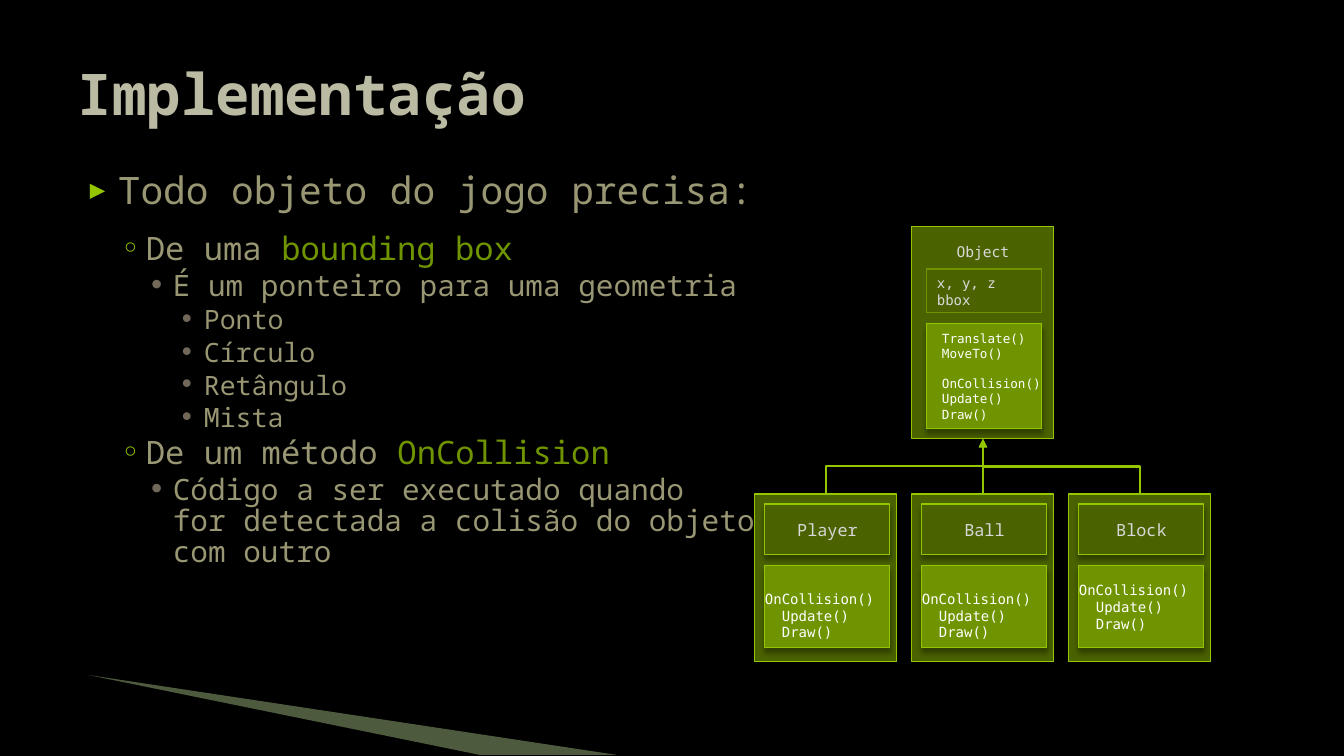
import lxml.etree
import pptx
import pptx.dml.color
import pptx.enum.shapes
import pptx.enum.text
import pptx.oxml.ns
import pptx.util

COLOURS = {
    "background": "000000",
    "title": "BBBAA2",
    "body": "999773",
    "bright": "94C600",
    "green": "6F9400",
    "dark": "4A6300",
    "bullet": "71685A",
    "label": "D9D9D9",
    "white": "FFFFFF",
    "wedge": "C3E19D",
}
SANS = "Noto Sans Mono"
CODE = "DejaVu Sans Mono"
LEVELS = [
    {"left": 40, "hang": 28, "before": 0, "after": 12, "size": 27,
     "bullet": "▶", "colour": "bright", "percent": 68},
    {"left": 68, "hang": 25, "before": 3.2, "after": 0, "size": 23,
     "bullet": "◦", "colour": "bright", "percent": 100},
    {"left": 95, "hang": 25, "before": 3.5, "after": 0, "size": 21,
     "bullet": "•", "colour": "bullet", "percent": 100},
    {"left": 126, "hang": 25, "before": 3.5, "after": 0, "size": 19,
     "bullet": "•", "colour": "bullet", "percent": 100},
]
OUTLINE = [
    (0, "Todo objeto do jogo precisa:", ""),
    (1, "De uma ", "bounding box"),
    (2, "É um ponteiro para uma geometria", ""),
    (3, "Ponto", ""),
    (3, "Círculo", ""),
    (3, "Retângulo", ""),
    (3, "Mista", ""),
    (1, "De um método ", "OnCollision"),
    (2, "Código a ser executado quando\vfor detectada a colisão do objeto\vcom outro", ""),
]


def px(length):
    return pptx.util.Emu(round(length * 914400 / 100.8))


def colour(name):
    return pptx.dml.color.RGBColor.from_string(COLOURS[name])


def add_element(parent, tag, **attributes):
    return lxml.etree.SubElement(parent, pptx.oxml.ns.qn(tag), **attributes)


class ClassDiagramSlide:
    def __init__(self, presentation):
        self.slide = presentation.slides.add_slide(presentation.slide_layouts[6])
        self.shapes = self.slide.shapes
        fill = self.slide.background.fill
        fill.solid()
        fill.fore_color.rgb = colour("background")

    def format_runs(self, runs, size, tint, font=SANS, bold=False):
        for run in runs:
            run.font.name = font
            run.font.size = pptx.util.Pt(size)
            run.font.bold = bold
            run.font.color.rgb = colour(tint)

    def wedge(self, points):
        builder = self.shapes.build_freeform(*points[0], scale=float(px(1)))
        builder.add_line_segments(points[1:], close=True)
        shape = builder.convert_to_shape()
        shape.shadow.inherit = False
        shape.fill.solid()
        shape.fill.fore_color.rgb = colour("wedge")
        shape.line.fill.background()
        tone = shape.element.spPr.find(".//" + pptx.oxml.ns.qn("a:srgbClr"))
        add_element(tone, "a:alpha", val="40000")

    def text_box(self, left, top, width, height):
        shape = self.shapes.add_textbox(px(left), px(top), px(width), px(height))
        shape.text_frame.word_wrap = True
        return shape.text_frame

    def title(self, text):
        frame = self.text_box(68, 30, 1210, 126)
        frame.vertical_anchor = pptx.enum.text.MSO_ANCHOR.MIDDLE
        frame.text = text
        self.format_runs(frame.paragraphs[0].runs, 41, "title", bold=True)

    def outline(self, items):
        frame = self.text_box(68, 168, 1210, 494)
        for index, (level, text, accent) in enumerate(items):
            style = LEVELS[level]
            paragraph = frame.add_paragraph() if index else frame.paragraphs[0]
            paragraph.level = level
            paragraph.line_spacing = 0.87
            paragraph.space_before = pptx.util.Pt(style["before"])
            paragraph.space_after = pptx.util.Pt(style["after"])
            properties = paragraph._p.get_or_add_pPr()
            properties.set("marL", str(px(style["left"])))
            properties.set("indent", str(-px(style["hang"])))
            tint = add_element(properties, "a:buClr")
            add_element(tint, "a:srgbClr", val=COLOURS[style["colour"]])
            add_element(properties, "a:buSzPct", val=str(style["percent"] * 1000))
            add_element(properties, "a:buFont", typeface=CODE)
            add_element(properties, "a:buChar", char=style["bullet"])
            paragraph.text = text
            self.format_runs(paragraph.runs, style["size"], "body")
            if accent:
                run = paragraph.add_run()
                run.text = accent
                self.format_runs([run], style["size"], "green")

    def box(self, left, top, width, height, fill=None, line="bright"):
        shape = self.shapes.add_shape(
            pptx.enum.shapes.MSO_SHAPE.RECTANGLE, px(left), px(top), px(width), px(height))
        shape.shadow.inherit = False
        shape.line.color.rgb = colour(line)
        shape.line.width = pptx.util.Pt(0.75)
        if fill is None:
            shape.fill.background()
            return shape
        shape.fill.solid()
        shape.fill.fore_color.rgb = colour(fill)
        effects = shape.element.spPr.find(pptx.oxml.ns.qn("a:effectLst"))
        shadow = add_element(effects, "a:outerShdw", blurRad="50800", dist="38100",
                             dir="5400000", rotWithShape="0")
        tone = add_element(shadow, "a:srgbClr", val=COLOURS["background"])
        add_element(tone, "a:alpha", val="35000")
        return shape

    def label(self, shape, text, size, font=SANS, centred=True, top=None):
        frame = shape.text_frame
        frame.text = text
        frame.vertical_anchor = pptx.enum.text.MSO_ANCHOR.MIDDLE
        if top is not None:
            frame.vertical_anchor = pptx.enum.text.MSO_ANCHOR.TOP
            frame.margin_top = px(top)
        alignment = pptx.enum.text.PP_ALIGN
        for paragraph in frame.paragraphs:
            paragraph.alignment = alignment.CENTER if centred else alignment.LEFT
            self.format_runs(paragraph.runs, size, "label", font)

    def methods(self, shape, lines, size, top=0):
        frame = shape.text_frame
        frame.margin_left = frame.margin_right = frame.margin_bottom = 0
        frame.margin_top = px(top)
        frame.vertical_anchor = pptx.enum.text.MSO_ANCHOR.MIDDLE
        frame.text = "\n".join(text for text, indent, gap in lines)
        for paragraph, (text, indent, gap) in zip(frame.paragraphs, lines):
            paragraph.alignment = pptx.enum.text.PP_ALIGN.LEFT
            paragraph.space_before = pptx.util.Pt(gap)
            paragraph._p.get_or_add_pPr().set("marL", str(px(indent)))
            self.format_runs(paragraph.runs, size, "white", CODE)

    def connector(self, kind, begin, end):
        connector = self.shapes.add_connector(
            kind, px(begin[0]), px(begin[1]), px(end[0]), px(end[1]))
        connector.line.color.rgb = colour("bright")
        connector.line.width = pptx.util.Pt(1.5)
        add_element(connector.line._get_or_add_ln(), "a:tailEnd", type="triangle")
        add_element(connector.element.spPr, "a:effectLst")
        return connector

    def elbow(self, start, end):
        middle_x, middle_y = (start[0] + end[0]) / 2, (start[1] + end[1]) / 2
        side = 1 if start[0] < end[0] else -1
        half_run = side * (start[1] - end[1]) / 2
        half_rise = abs(end[0] - start[0]) / 2
        connector = self.connector(
            pptx.enum.shapes.MSO_CONNECTOR.ELBOW,
            (middle_x + half_run, middle_y + half_rise),
            (middle_x - half_run, middle_y - half_rise))
        transform = connector.element.spPr.find(pptx.oxml.ns.qn("a:xfrm"))
        transform.set("rot", str((180 - 90 * side) * 60000))

    def arrow(self, child, parent, begin, end):
        connector = self.connector(pptx.enum.shapes.MSO_CONNECTOR.STRAIGHT, begin, end)
        connector.begin_connect(child, 0)
        connector.end_connect(parent, 2)


def main():
    presentation = pptx.Presentation()
    presentation.slide_width, presentation.slide_height = px(1344), px(756)
    diagram = ClassDiagramSlide(presentation)
    diagram.wedge([(88, 675), (617, 755), (480, 755)])
    diagram.outline(OUTLINE)
    diagram.title("Implementação")

    base = diagram.box(912, 227, 142, 212, "dark")
    diagram.label(base, "Object", 10.5, CODE, top=16)
    diagram.methods(diagram.box(927, 324, 115, 105, "green"), [
        ("Translate()", 15, 0), ("MoveTo()", 15, 0), ("OnCollision()", 15, 10.5),
        ("Update()", 15, 0), ("Draw()", 15, 0)], 9)
    fields = diagram.box(927, 269, 115, 44, line="green")
    diagram.label(fields, "x, y, z\vbbox", 10, CODE, centred=False)

    parent_point = (983, 439)
    for index, (name, inset) in enumerate([("Player", 17), ("Ball", 17), ("Block", 0)]):
        left = 755 + 157 * index
        child = diagram.box(left, 494, 142, 168, "dark")
        diagram.label(diagram.box(left + 10, 504, 125, 51, "dark"), name, 12)
        diagram.methods(diagram.box(left + 10, 566, 125, 82, "green"), [
            ("OnCollision()", 0, 0), ("Update()", 17, 0), ("Draw()", 17, 0)], 10, inset)
        child_point = (left + 71, 494)
        if child_point[0] == parent_point[0]:
            diagram.arrow(child, base, child_point, parent_point)
        else:
            diagram.elbow(child_point, parent_point)
    presentation.save("out.pptx")


if __name__ == "__main__":
    main()
